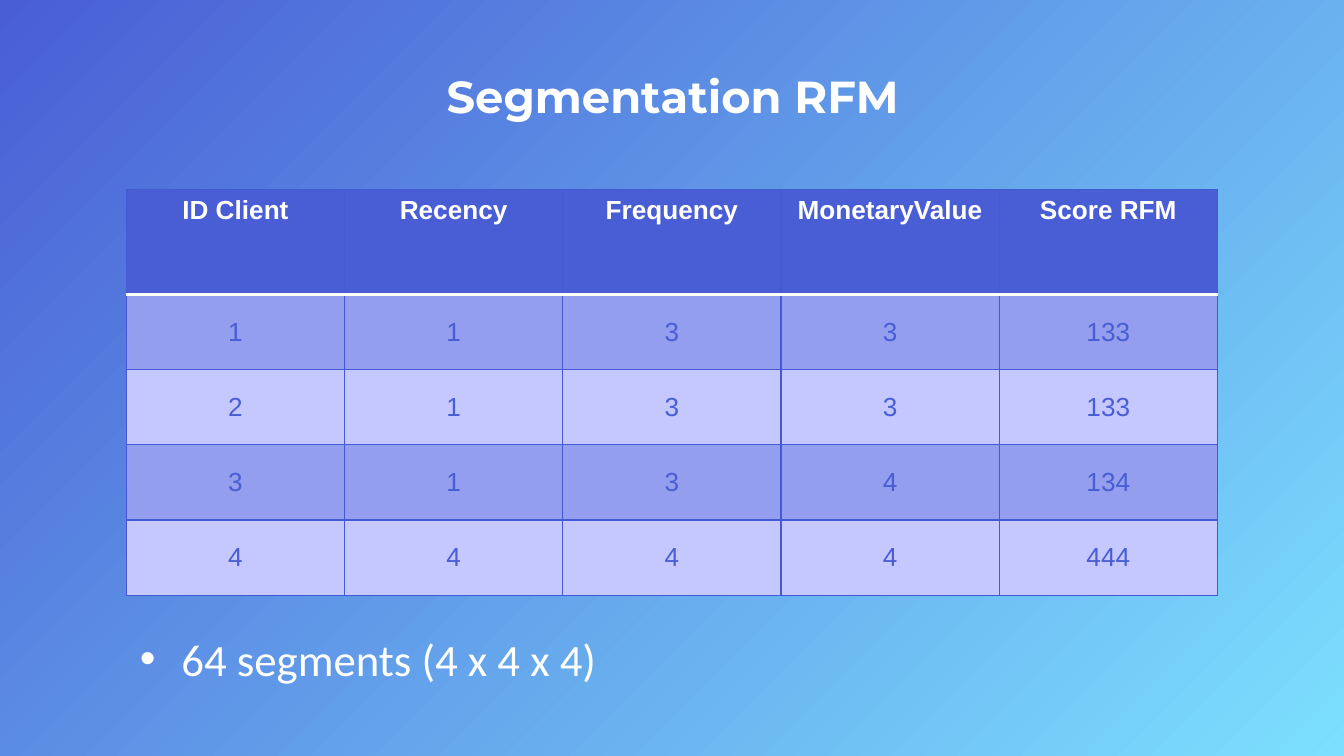
"""Build the RFM segmentation slide."""
from lxml.etree import SubElement
from pptx import Presentation
from pptx.dml.color import RGBColor
from pptx.enum.text import MSO_ANCHOR as Anchor, MSO_AUTO_SIZE as Fit, PP_ALIGN as Align
from pptx.oxml.ns import qn
from pptx.util import Inches, Pt

TITLE = "Segmentation RFM"
HEAD = ("ID Client", "Recency", "Frequency", "MonetaryValue", "Score RFM")
ROWS = [
    (1, 1, 3, 3, 133),
    (2, 1, 3, 3, 133),
    (3, 1, 3, 4, 134),
    (4, 4, 4, 4, 444),
]
NOTE = "64 segments (4 x 4 x 4)"

WHITE = RGBColor(0xFF, 0xFF, 0xFF)
BLUE = RGBColor(0x49, 0x5E, 0xD5)
SKY = RGBColor(0x7C, 0xDF, 0xFE)
EDGE = RGBColor(0x44, 0x5A, 0xD4)
BANDS = (RGBColor(0x93, 0x9E, 0xEE), RGBColor(0xC5, 0xC8, 0xFF))

WIDE = Inches(10)
LEFT, WIDTH = 0.94, 8.12
TOP, HEAD_H, ROW_H = 1.41, 0.78, 0.56


def write(frame, text, font="Arial", size=14, color=WHITE, bold=False, align=Align.CENTER):
    par = frame.paragraphs[0]
    par.alignment = align
    par.space_before = Pt(0)
    run = par.add_run()
    run.text = str(text)
    run.font.name = font
    run.font.size = Pt(size)
    run.font.bold = bold
    run.font.color.rgb = color
    return par


def place(shape, left, top, width, height):
    shape.left, shape.top = Inches(left), Inches(top)
    shape.width, shape.height = Inches(width), Inches(height)


def border(cell, sides):
    props = cell._tc.get_or_add_tcPr()
    for side in "LRTB":
        color, width = sides.get(side, (EDGE, 0.75))
        line = SubElement(props, qn(f"a:ln{side}"), w=str(Pt(width)))
        SubElement(SubElement(line, qn("a:solidFill")), qn("a:srgbClr"), val=str(color))


def bullet(par, indent):
    props = par._p.get_or_add_pPr()
    props.set("marL", str(Inches(indent)))
    props.set("indent", str(Inches(-indent)))
    SubElement(SubElement(props, qn("a:buClr")), qn("a:srgbClr"), val=str(WHITE))
    SubElement(props, qn("a:buFont"), typeface="Arial")
    SubElement(props, qn("a:buChar"), char="•")


def add_grid(slide):
    data = [HEAD, *ROWS]
    high = HEAD_H + ROW_H * len(ROWS)
    grid = slide.shapes.add_table(
        len(data), len(HEAD), Inches(LEFT), Inches(TOP), Inches(WIDTH), Inches(high)
    ).table
    grid.horz_banding = False
    rule = (WHITE, 2)
    for r, row in enumerate(data):
        head = r == 0
        grid.rows[r].height = Inches(HEAD_H if head else ROW_H)
        sides = {"B": rule} if head else {"T": rule} if r == 1 else {}
        for c, text in enumerate(row):
            cell = grid.cell(r, c)
            border(cell, sides)
            cell.fill.solid()
            cell.fill.fore_color.rgb = BLUE if head else BANDS[(r - 1) % 2]
            cell.vertical_anchor = Anchor.TOP if head else Anchor.MIDDLE
            write(cell.text_frame, text, color=WHITE if head else BLUE, bold=head)


def main():
    deck = Presentation()
    deck.slide_width, deck.slide_height = WIDE, WIDE * 9 // 16
    slide = deck.slides.add_slide(deck.slide_layouts[1])

    back = slide.background.fill
    back.gradient()
    back.gradient_angle = 315
    for stop, color in zip(back.gradient_stops, (BLUE, SKY)):
        stop.color.rgb = color

    title, body = slide.placeholders
    place(title, 0.34, 0.18, 9.33, 0.83)
    frame = title.text_frame
    frame.vertical_anchor = Anchor.BOTTOM
    frame.margin_top = frame.margin_bottom = Inches(0.1)
    write(frame, TITLE, font="Montserrat", size=24, bold=True)

    add_grid(slide)

    place(body, LEFT, 4.65, WIDTH, 0.5)
    body.text_frame.auto_size = Fit.SHAPE_TO_FIT_TEXT
    par = write(body.text_frame, NOTE, font="Calibri", size=24, align=Align.LEFT)
    bullet(par, 0.31)

    deck.save("out.pptx")


if __name__ == "__main__":
    main()
